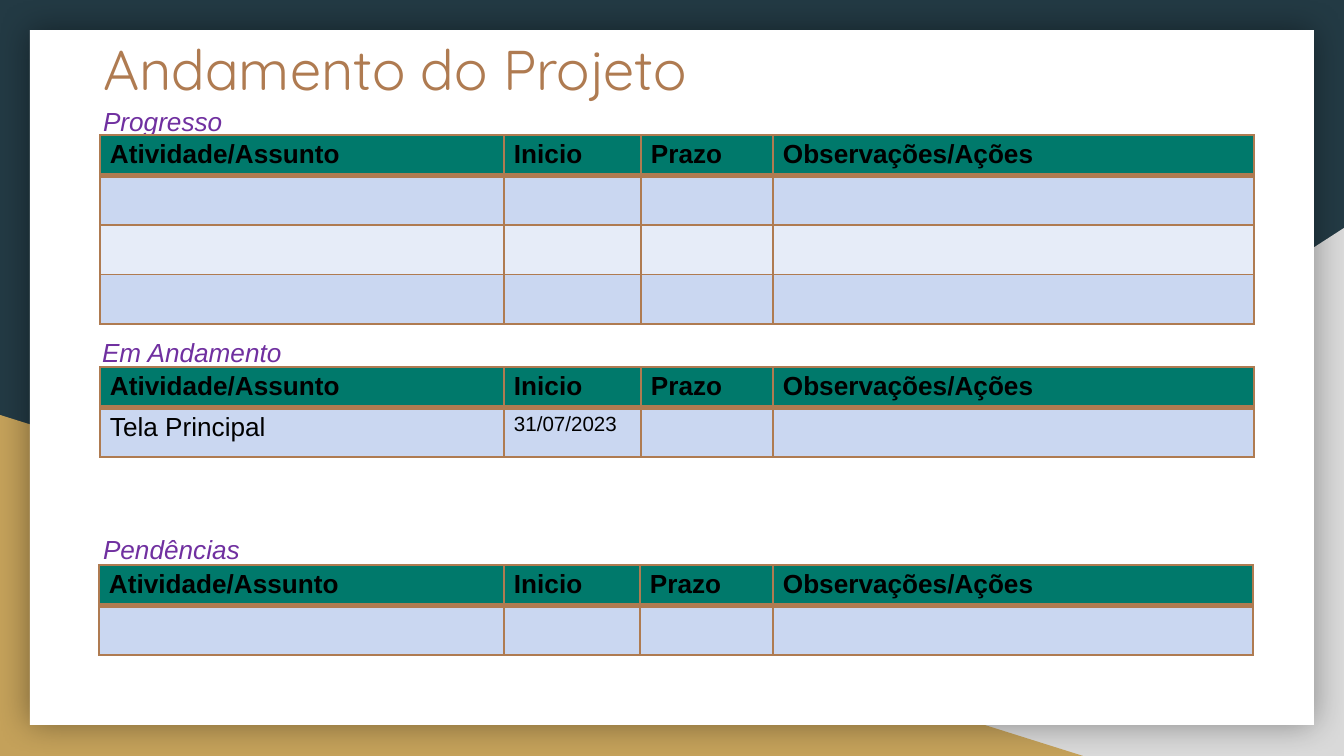
from lxml.etree import SubElement
from pptx import Presentation
from pptx.dml.color import RGBColor
from pptx.enum.shapes import MSO_SHAPE
from pptx.enum.text import MSO_ANCHOR, PP_ALIGN
from pptx.oxml import parse_xml
from pptx.oxml.ns import nsdecls, qn
from pptx.util import Emu, Pt

PX = 914400 / 134.4
NAVY = RGBColor(0x23, 0x3A, 0x44)
GREY = RGBColor(0xD9, 0xD9, 0xD9)
GOLD = RGBColor(0xC4, 0xA1, 0x5A)
WHITE = RGBColor(0xFF, 0xFF, 0xFF)
BLACK = RGBColor(0x00, 0x00, 0x00)
BRONZE = RGBColor(0xAF, 0x7B, 0x51)
PURPLE = RGBColor(0x70, 0x30, 0xA0)
GREEN = RGBColor(0x00, 0x79, 0x6B)
BAND_DARK = RGBColor(0xCA, 0xD7, 0xF1)
BAND_LIGHT = RGBColor(0xE6, 0xEC, 0xF8)

HEADINGS = ["Atividade/Assunto", "Inicio", "Prazo", "Observações/Ações"]
HEADER_HEIGHT, ROW_HEIGHT = 41, 48


def px(*lengths):
    return [Emu(round(length * PX)) for length in lengths]


def format_run(paragraph, size, color, font="Arial", bold=False, italic=False):
    for run in paragraph.runs:
        run.font.name, run.font.size = font, Pt(size)
        run.font.bold, run.font.italic = bold, italic
        run.font.color.rgb = color


def set_margins(holder, *margins):
    (holder.margin_left, holder.margin_top,
     holder.margin_right, holder.margin_bottom) = px(*margins)


def add_panel(slide, kind, box, color):
    panel = slide.shapes.add_shape(kind, *px(*box))
    panel.shadow.inherit = False
    panel.fill.solid()
    panel.fill.fore_color.rgb = color
    panel.line.fill.background()
    return panel


def add_backdrop(slide, width, height):
    slide.background.fill.solid()
    slide.background.fill.fore_color.rgb = NAVY
    grey_corner = add_panel(slide, MSO_SHAPE.RIGHT_TRIANGLE,
                            (width - 817, height - 528, 817, 528), GREY)
    grey_corner.element.spPr.find(qn("a:xfrm")).set("flipH", "1")
    add_panel(slide, MSO_SHAPE.RIGHT_TRIANGLE, (0, height - 341, 1083, 341), GOLD)
    card = add_panel(slide, MSO_SHAPE.RECTANGLE,
                     (30, 30, width - 60, height - 61), WHITE)
    # Soft glow around the card
    effects = card.element.spPr.find(qn("a:effectLst"))
    effects.append(parse_xml(
        f'<a:outerShdw {nsdecls("a")} blurRad="{Pt(18)}" dist="0" dir="0" '
        'algn="ctr" rotWithShape="0"><a:srgbClr val="000000">'
        '<a:alpha val="40000"/></a:srgbClr></a:outerShdw>'))


def add_title(slide, text, box):
    title = slide.shapes.title
    title.left, title.top, title.width, title.height = px(*box)
    frame = title.text_frame
    frame.text = text
    frame.vertical_anchor = MSO_ANCHOR.MIDDLE
    set_margins(frame, 10, 5, 10, 5)
    heading = frame.paragraphs[0]
    heading.alignment, heading.line_spacing = PP_ALIGN.LEFT, 0.9
    format_run(heading, 30, BRONZE, font="Quicksand")
    # Bring the title in front of the card
    slide.shapes.element.append(title.element)


def add_label(slide, text, left, top):
    frame = slide.shapes.add_textbox(*px(left, top, 1152, 40)).text_frame
    frame.word_wrap = True
    set_margins(frame, 10, 5, 10, 5)
    frame.text = text
    frame.paragraphs[0].line_spacing = 0.9
    format_run(frame.paragraphs[0], 14, PURPLE, italic=True)


def set_borders(cell, widths):
    properties = cell._tc.get_or_add_tcPr()
    for index, (side, width) in enumerate(widths.items()):
        line = SubElement(properties, qn(f"a:ln{side}"), w=str(Pt(width)))
        fill = SubElement(line, qn("a:solidFill"))
        SubElement(fill, qn("a:srgbClr"), val=str(BRONZE))
        properties.insert(index, line)


def add_task_table(slide, left, top, columns, tasks):
    rows = [HEADINGS] + tasks
    height = HEADER_HEIGHT + ROW_HEIGHT * len(tasks)
    table = slide.shapes.add_table(
        len(rows), len(columns), *px(left, top, sum(columns), height)).table
    for column, width in zip(table.columns, px(*columns)):
        column.width = width
    for row_number, entries in enumerate(rows):
        header = row_number == 0
        table.rows[row_number].height = px(HEADER_HEIGHT if header else ROW_HEIGHT)[0]
        band = GREEN if header else BAND_DARK if row_number % 2 else BAND_LIGHT
        for column_number, entry in enumerate(entries):
            cell = table.cell(row_number, column_number)
            set_margins(cell, 10, 5, 10, 4)
            cell.fill.solid()
            cell.fill.fore_color.rgb = band
            set_borders(cell, {"L": 1, "R": 1, "T": 3 if row_number == 1 else 1,
                               "B": 3 if header else 1})
            if entry:
                cell.text = entry
                is_date = not header and column_number == 1
                format_run(cell.text_frame.paragraphs[0],
                           11 if is_date else 14, BLACK, bold=header)


def add_section(slide, name, label_at, table_at, columns, tasks):
    add_label(slide, name, *label_at)
    add_task_table(slide, *table_at, columns, tasks)


def build_status_slide(presentation, width, height):
    slide = presentation.slides.add_slide(presentation.slide_layouts[5])
    add_backdrop(slide, width, height)
    add_title(slide, "Andamento do Projeto", (93, 34, 1158, 76))
    columns = [404, 137, 132, 481]
    no_task = [""] * len(HEADINGS)
    add_section(slide, "Progresso", (93, 104), (100, 135), columns, [no_task] * 3)
    add_section(slide, "Em Andamento", (92, 335), (100, 367), columns,
                [["Tela Principal", "31/07/2023", "", ""]])
    add_section(slide, "Pendências", (93, 532), (99, 565),
                [405, 136, 133, 480], [no_task])


presentation = Presentation()
presentation.slide_width, presentation.slide_height = px(1344, 756)
build_status_slide(presentation, 1344, 756)
presentation.save("out.pptx")
